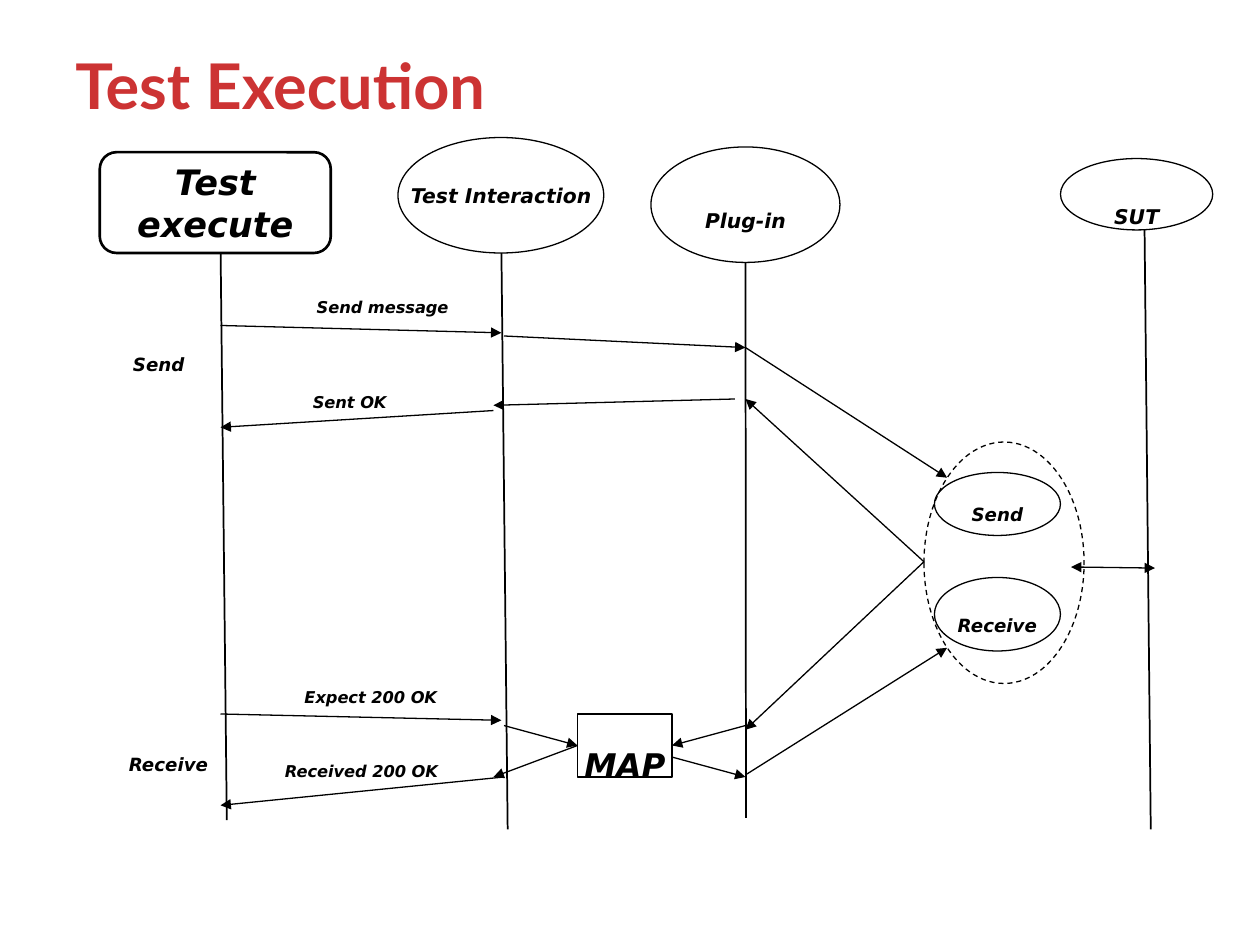
from lxml import etree
from pptx import Presentation
from pptx.dml.color import RGBColor
from pptx.enum.dml import MSO_LINE
from pptx.enum.shapes import MSO_CONNECTOR, MSO_SHAPE
from pptx.enum.text import MSO_ANCHOR, PP_ALIGN
from pptx.oxml.ns import qn
from pptx.util import Inches, Pt

STRAIGHT = MSO_CONNECTOR.STRAIGHT
OVAL, BOX, ROUNDED = MSO_SHAPE.OVAL, MSO_SHAPE.RECTANGLE, MSO_SHAPE.ROUNDED_RECTANGLE
LEFT, CENTER, RIGHT = PP_ALIGN.LEFT, PP_ALIGN.CENTER, PP_ALIGN.RIGHT
TOP, MIDDLE = MSO_ANCHOR.TOP, MSO_ANCHOR.MIDDLE
DASH = MSO_LINE.DASH
COLORS = {"title": "CC3333", "ink": "000000", "paper": "FFFFFF"}
WIDTH, HEIGHT = Inches(10), Inches(7.5)
COLUMNS, ROWS = 120, 90


def color(name):
    return RGBColor.from_string(COLORS[name])


def write(shape, text, size=18, font="DejaVu Sans", ink="ink", italic=True,
          align=CENTER, anchor=TOP, before=0, lowered=True, wrap=True):
    frame = shape.text_frame
    frame.word_wrap = wrap
    frame.vertical_anchor = anchor
    paragraph = frame.paragraphs[0]
    paragraph.alignment = align
    paragraph.space_before = Pt(before)
    run = paragraph.add_run()
    run.text = text
    run.font.name, run.font.size = font, Pt(size)
    run.font.bold, run.font.italic = True, italic
    run.font.color.rgb = color(ink)
    if lowered:
        run.font._element.set("baseline", "-25000")


class SequenceDiagram:
    """Draws on one slide, with lengths in grid columns and rows."""

    def __init__(self, slide):
        self.slide = slide
        self.shapes = slide.shapes

    def place(self, left, top, width, height):
        return (round(left * WIDTH / COLUMNS), round(top * HEIGHT / ROWS),
                round(width * WIDTH / COLUMNS), round(height * HEIGHT / ROWS))

    def label(self, text, area, **style):
        write(self.shapes.add_textbox(*self.place(*area)), text, **style)

    def node(self, kind, area, text=None, fill=None, weight=0.75, dash=None, **style):
        shape = self.shapes.add_shape(kind, *self.place(*area))
        shape.shadow.inherit = False
        if fill:
            shape.fill.solid()
            shape.fill.fore_color.rgb = color(fill)
        else:
            shape.fill.background()
        shape.line.color.rgb = color("ink")
        shape.line.width = Pt(weight)
        if dash:
            shape.line.dash_style = dash
        if text:
            write(shape, text, anchor=MIDDLE, **style)

    def line(self, start, end, weight=0.75, ends=()):
        connector = self.shapes.add_connector(STRAIGHT, *self.place(*start, *end))
        connector.line.color.rgb = color("ink")
        connector.line.width = Pt(weight)
        outline = connector.line._get_or_add_ln()
        for end_name in ends:
            etree.SubElement(outline, qn(f"a:{end_name}"), type="triangle")
        etree.SubElement(connector._element.spPr, qn("a:effectLst"))

    def arrow(self, start, end, both=False):
        self.line(start, end, ends=("headEnd", "tailEnd") if both else ("tailEnd",))

    def participant(self, text, oval, label, start, end):
        self.shapes = self.slide.shapes.add_group_shape().shapes
        self.line(start, end, weight=1)
        self.node(OVAL, oval, fill="paper")
        self.label(text, label, size=20, before=12.5)
        self.shapes = self.slide.shapes


def main():
    presentation = Presentation()
    presentation.slide_width, presentation.slide_height = WIDTH, HEIGHT
    diagram = SequenceDiagram(presentation.slides.add_slide(presentation.slide_layouts[6]))

    # Title
    diagram.label("Test Execution", (6, 3, 108, 10), size=36, font="Lato", ink="title",
                  italic=False, align=LEFT, anchor=MIDDLE, lowered=False)

    # Participants and their lifelines
    diagram.line((21, 23), (21.6, 78.1), weight=1)
    for participant in (
        ("Test Interaction", (37.9, 13.1, 19.6, 11), (36.6, 14.6, 22.3, 5.8),
         (47.75, 23.6), (48.35, 79)),
        ("Plug-in", (62, 14, 18, 11), (63, 17, 16, 5.8), (71, 25), (71.05, 77.9)),
        ("SUT", (101, 15.1, 14.5, 6.8), (100, 16.6, 16.5, 5.8), (109, 21.1), (109.6, 79)),
    ):
        diagram.participant(*participant)
    diagram.node(ROUNDED, (9.5, 14.5, 22, 9.6), "Test execute", fill="paper",
                 weight=1.5, size=20, before=12.5, lowered=False)

    # Port pair, its dashed outline and the mapping box
    diagram.node(OVAL, (89, 55, 12, 7), "Receive", wrap=False)
    diagram.node(OVAL, (89, 45, 12, 6), "Send", wrap=False)
    diagram.node(OVAL, (88, 42.1, 15.25, 23), dash=DASH)
    diagram.node(BOX, (55, 68, 9, 6), "MAP", size=32, wrap=False)

    # Phase and message labels
    for text, area, size in (
        ("Send", (7, 31, 11.75, 5.3), 18),
        ("Receive", (6, 69.1, 15, 5.3), 18),
        ("Send message", (24.2, 25.9, 19.7, 4.9), 16),
        ("Sent OK", (21, 35, 17, 4.9), 16),
        ("Expect 200 OK", (20.8, 63.1, 22, 4.9), 16),
        ("Received 200 OK", (22, 70.1, 20.9, 4.9), 16),
    ):
        diagram.label(text, area, size=size, align=RIGHT)

    # Messages
    plugin_call, plugin_receive = (71, 33.1), (71, 73.8)
    ports, mapping = (88, 53.5), (55, 71)
    for start, end in (
        ((21, 31), (47.75, 31.7)),
        ((48, 32), plugin_call),
        (plugin_call, (90.2, 45.5)),
        (ports, (71, 38)),
        ((70, 38), (47, 38.6)),
        ((47, 39.1), (21, 40.7)),
        ((21, 68), (47.75, 68.6)),
        ((48, 69.1), mapping),
        ((64, 72.1), (71, 74)),
        (plugin_receive, (90.2, 61.7)),
        (ports, (71, 69.5)),
        ((71, 69.1), (64, 71)),
        (mapping, (47, 74)),
        ((48, 74), (21, 76.7)),
    ):
        diagram.arrow(start, end)
    diagram.arrow((102, 54), (110, 54.1), both=True)

    presentation.save("out.pptx")


if __name__ == "__main__":
    main()
